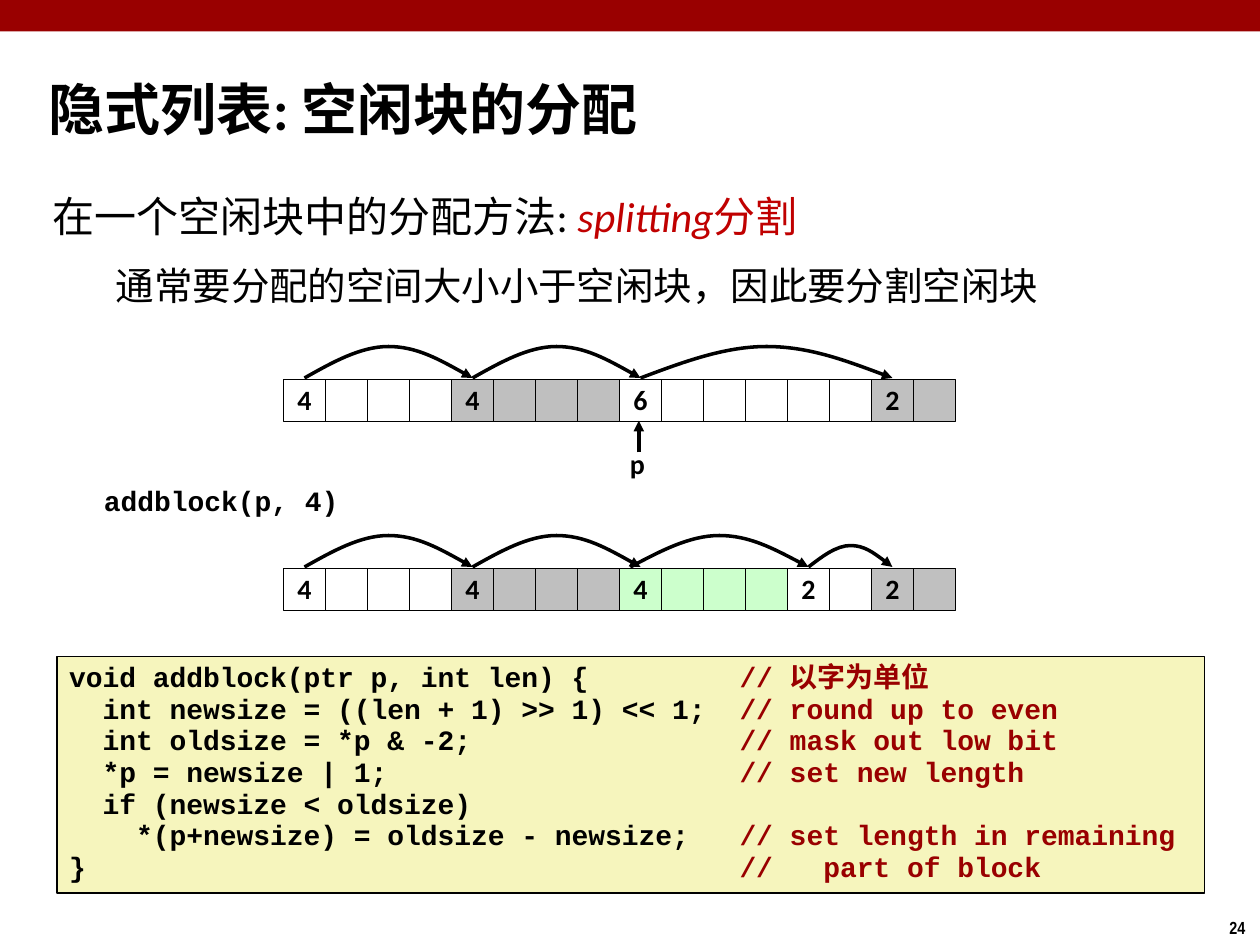
from dataclasses import dataclass

from lxml.etree import SubElement as Sub
from pptx import Presentation
from pptx.dml.color import RGBColor as RGB
from pptx.enum.shapes import MSO_CONNECTOR as Link, MSO_SHAPE as Form
from pptx.enum.text import MSO_ANCHOR as Anchor, PP_ALIGN as Align
from pptx.oxml.ns import qn
from pptx.util import Inches, Pt


@dataclass(frozen=True)
class Theme:
    black: str = "000000"
    white: str = "FFFFFF"
    bar: str = "990000"
    red: str = "C00000"
    cream: str = "F6F5BD"
    gray: str = "BFBFBF"
    pale: str = "C0C0C0"
    green: str = "CCFFCC"
    sans: str = "Calibri"
    mono: str = "Courier New"
    slim: str = "Arial Narrow"
    head: int = 32
    lead: int = 24
    sub: int = 22
    text: int = 16
    foot: int = 10


T = Theme()

TITLE = "隐式列表: 空闲块的分配"
LEAD = [("在一个空闲块中的分配方法: ", {}),
        ("splitting", {"color": T.red, "italic": True}),
        ("分割", {"color": T.red})]
SUB = "通常要分配的空间大小小于空闲块，因此要分割空闲块"
CALL = "addblock(p, 4)"
PAGE = "24"
CODE = [
    ("void addblock(ptr p, int len) {", "// 以字为单位"),
    ("  int newsize = ((len + 1) >> 1) << 1;", "// round up to even"),
    ("  int oldsize = *p & -2;", "// mask out low bit"),
    ("  *p = newsize | 1;", "// set new length"),
    ("  if (newsize < oldsize)", ""),
    ("    *(p+newsize) = oldsize - newsize;", "// set length in remaining"),
    ("}", "//   part of block"),
]
HEAPS = [
    (3.01, [(4, T.white, 0.25, 0), (4, T.gray, 0.25, 0),
            (6, T.white, 0.25, 0), (2, T.pale, 0, 0)]),
    (4.51, [(4, T.white, 0.25, 0), (4, T.gray, 0.25, 0),
            (4, T.green, 0.25, -0.08), (2, T.white, 0.17, 0),
            (2, T.pale, 0, 0)]),
]
LEFT, CELL, TAB = 2.25, 1 / 3, 40

deck = Presentation()
deck.slide_width, deck.slide_height = Inches(10), Inches(7.5)
slide = deck.slides.add_slide(deck.slide_layouts[6])
shapes = slide.shapes


def write(frame, text, size=T.text, font=T.sans, color=T.black, bold=False,
          align=Align.LEFT, anchor=Anchor.TOP, space=1.0, before=0,
          indent=0, wrap=True, pad=0.1, more=False):
    frame.word_wrap, frame.vertical_anchor = wrap, anchor
    frame.margin_left = frame.margin_right = Inches(pad)
    para = frame.add_paragraph() if more else frame.paragraphs[0]
    para.alignment, para.line_spacing = align, space
    if before:
        para.space_before = Pt(before)
    if indent:
        para._p.get_or_add_pPr().set("marL", str(Inches(indent)))
    for part, look in [(text, {})] if isinstance(text, str) else text:
        run = para.add_run()
        run.text = part
        run.font.size, run.font.name, run.font.bold = Pt(size), font, bold
        run.font.italic = look.get("italic", False)
        run.font.color.rgb = RGB.from_string(look.get("color", color))


def label(box, text, **form):
    frame = shapes.add_textbox(*map(Inches, box)).text_frame
    write(frame, text, **form)
    return frame


def rect(box, fill, line=0):
    shape = shapes.add_shape(Form.RECTANGLE, *map(Inches, box))
    shape.shadow.inherit = False
    shape.fill.solid()
    shape.fill.fore_color.rgb = RGB.from_string(fill)
    if line:
        shape.line.color.rgb = RGB.from_string(T.black)
        shape.line.width = Pt(line)
    else:
        shape.line.fill.background()
    return shape


def point(shape):
    shape.line.color.rgb = RGB.from_string(T.black)
    shape.line.width = Pt(2)
    Sub(shape.line._get_or_add_ln(), qn("a:tailEnd"), type="triangle")


def arc(start, end, base, rise):
    heights = (0, 0.5, 1, 1, 1, 0.5, 0)
    spots = [(Inches(start + (end - start) * i / 6), Inches(base - rise * h))
             for i, h in enumerate(heights)]
    pen = shapes.build_freeform(*spots[0])
    pen.add_line_segments(spots[1:], close=False)
    shape = pen.convert_to_shape()
    shape.shadow.inherit = False
    shape.fill.background()
    legs = list(shape._element.iter(qn("a:lnTo")))
    track = legs[0].getparent()
    for i in range(0, len(legs), 3):
        curve = Sub(track, qn("a:cubicBezTo"))
        for leg in legs[i:i + 3]:
            curve.append(leg[0])
            track.remove(leg)
    point(shape)


def heap(top, blocks):
    x = LEFT
    for size, fill, rise, shift in blocks:
        for i in range(size):
            cell = rect((x + i * CELL, top, CELL, CELL), fill, 0.25)
            if i == 0:
                write(cell.text_frame, str(size), bold=True, wrap=False,
                      align=Align.CENTER, anchor=Anchor.MIDDLE, space=0.98)
        x += size * CELL
    x = LEFT + CELL / 2
    for size, fill, rise, shift in blocks:
        if rise:
            arc(x + shift, x + size * CELL, top - 0.01, rise)
        x += size * CELL


def main():
    rect((0, 0, 10, 0.25), T.bar)
    label((9.66, 7.23, 0.34, 0.27), PAGE, size=T.foot, font=T.slim,
          bold=True, wrap=False)
    label((0.29, 0.54, 9.42, 0.63), TITLE, size=T.head, bold=True,
          anchor=Anchor.MIDDLE)
    body = label((0.32, 1.34, 9.09, 5.71), LEAD, size=T.lead, space=1.3)
    write(body, SUB, size=T.sub, space=1.3, before=4.4, indent=0.5, more=True)

    panel = rect((0.45, 5.21, 9.11, 1.88), T.cream, 1).text_frame
    for i, (code, note) in enumerate(CODE):
        runs = [(code.ljust(TAB), {}), (note, {"color": T.bar})]
        write(panel, runs if note else code, font=T.mono, bold=True,
              space=0.94, more=i > 0)

    for top, blocks in HEAPS:
        heap(top, blocks)

    arrow = shapes.add_connector(
        Link.STRAIGHT, *map(Inches, (5.07, 3.59, 5.07, 3.34)))
    point(arrow)
    Sub(arrow._element.spPr, qn("a:effectLst"))
    label((4.9, 3.51, 0.32, 0.37), "p", bold=True, space=0.98, wrap=False)
    label((0.76, 3.83, 1.99, 0.33), CALL, font=T.mono, bold=True,
          align=Align.CENTER, space=0.85, wrap=False, pad=0.05)
    deck.save("out.pptx")


if __name__ == "__main__":
    main()
